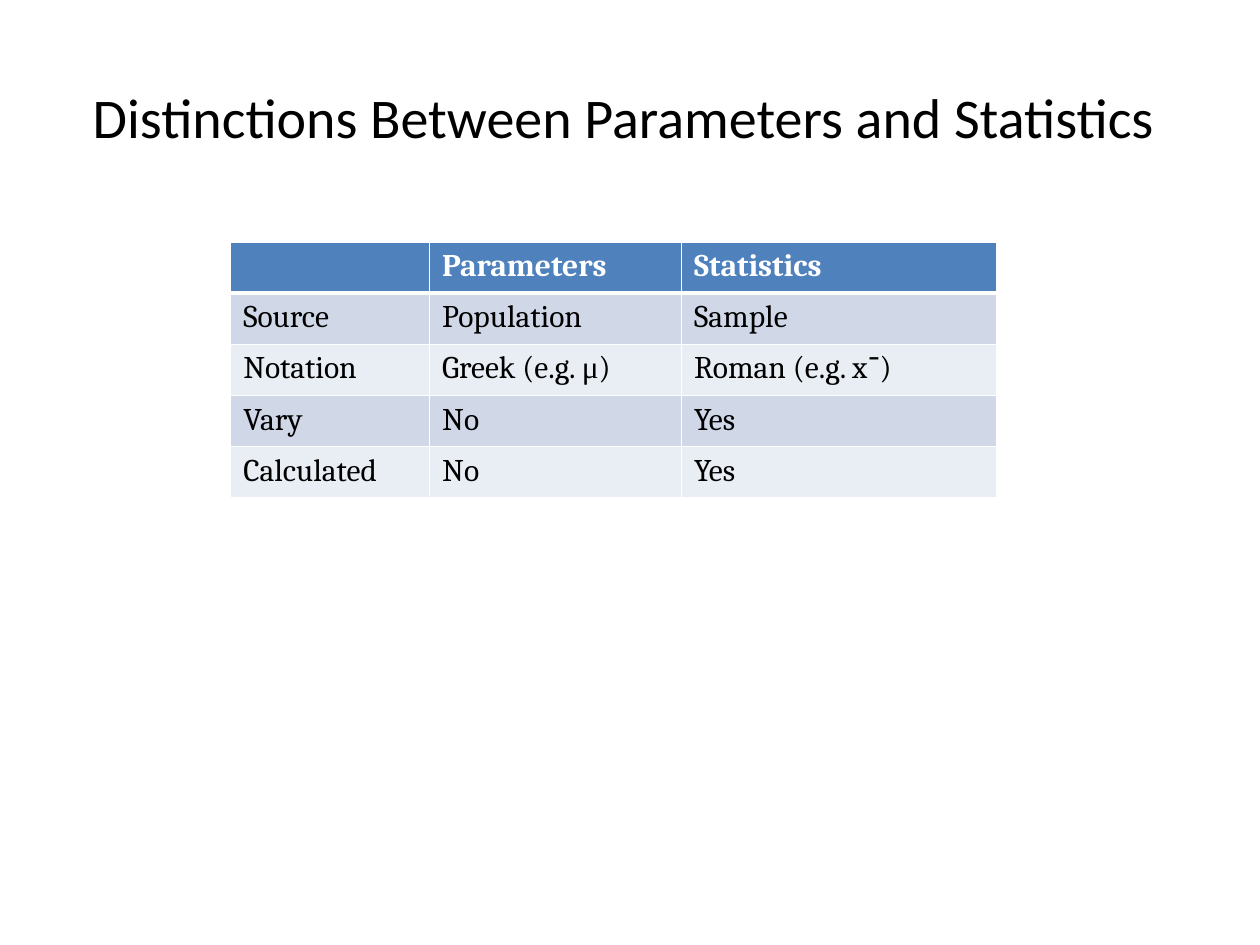
from dataclasses import dataclass
from itertools import groupby

from lxml.etree import SubElement
from pptx import Presentation
from pptx.dml.color import RGBColor
from pptx.enum.text import MSO_ANCHOR as Anchor, PP_ALIGN as Align
from pptx.oxml.ns import qn
from pptx.util import Cm, Pt

WHITE, BLACK = "FFFFFF", "000000"
SYMBOLS = "\u03bc\u05be"
COL_WIDTHS = (4.01, 5.08, 6.35)
ROW_HEIGHT = 1.03


@dataclass
class RowStyle:
    """Look of one table row; rules are in points."""
    fill: str
    color: str = BLACK
    bold: bool = False
    top: float = 1
    bottom: float = 1


HEADER = RowStyle("4F81BD", WHITE, bold=True, bottom=3)
FIRST = RowStyle("D0D8E8", top=3)
DARK = RowStyle("D0D8E8")
LIGHT = RowStyle("E9EDF4")

ROWS = (
    (HEADER, ("", "Parameters", "Statistics")),
    (FIRST, ("Source", "Population", "Sample")),
    (LIGHT, ("Notation", "Greek (e.g. \u03bc)", "Roman (e.g. x\u05be)")),
    (DARK, ("Vary ", "No", "Yes")),
    (LIGHT, ("Calculated", "No", "Yes")),
)


def rgb(color: str) -> RGBColor:
    """Turn a hex string into a colour."""
    return RGBColor.from_string(color)


def add_run(p, text: str, font: str, size: float, color: str, bold: bool = False) -> None:
    """Append a formatted run to a paragraph."""
    r = p.add_run()
    r.text = text
    r.font.name, r.font.size, r.font.bold = font, Pt(size), bold
    r.font.color.rgb = rgb(color)
    if font == "Times New Roman":
        for tag in ("a:ea", "a:cs"):
            SubElement(r.font._element, qn(tag), typeface=font)


def add_border(cell, side: str, width: float) -> None:
    """Draw a white rule on one side of a cell."""
    ln = SubElement(cell._tc.get_or_add_tcPr(), qn(f"a:ln{side}"), w=str(Pt(width)))
    SubElement(SubElement(ln, qn("a:solidFill")), qn("a:srgbClr"), val=WHITE)


def fill_cell(cell, text: str, style: RowStyle) -> None:
    """Give a cell its rules, fill and text."""
    for side, width in zip("LRTB", (1, 1, style.top, style.bottom)):
        add_border(cell, side, width)
    cell.fill.solid()
    cell.fill.fore_color.rgb = rgb(style.fill)
    p = cell.text_frame.paragraphs[0]
    for is_symbol, chars in groupby(text, key=lambda c: c in SYMBOLS):
        font = "Times New Roman" if is_symbol else "Cambria"
        add_run(p, "".join(chars), font, 18, style.color, style.bold)


def add_title(s, text: str) -> None:
    """Add the centred slide title."""
    tf = s.shapes.add_textbox(Cm(1.27), Cm(0.76), Cm(22.86), Cm(3.18)).text_frame
    tf.word_wrap = True
    tf.vertical_anchor = Anchor.MIDDLE
    p = tf.paragraphs[0]
    p.alignment = Align.CENTER
    add_run(p, text, "Calibri", 32, BLACK)


def add_comparison(s) -> None:
    """Add the table comparing parameters with statistics."""
    table = s.shapes.add_table(
        len(ROWS), len(COL_WIDTHS), Cm(4.65), Cm(4.88),
        Cm(sum(COL_WIDTHS)), Cm(ROW_HEIGHT * len(ROWS))).table
    table.horz_banding = False
    for col, width in zip(table.columns, COL_WIDTHS):
        col.width = Cm(width)
    for row, (style, texts) in zip(table.rows, ROWS):
        row.height = Cm(ROW_HEIGHT)
        for cell, text in zip(row.cells, texts):
            fill_cell(cell, text, style)


prs = Presentation()
prs.slide_width, prs.slide_height = Cm(25.4), Cm(19.05)
s = prs.slides.add_slide(prs.slide_layouts[6])
add_title(s, "Distinctions Between Parameters and Statistics ")
add_comparison(s)
prs.save("out.pptx")
